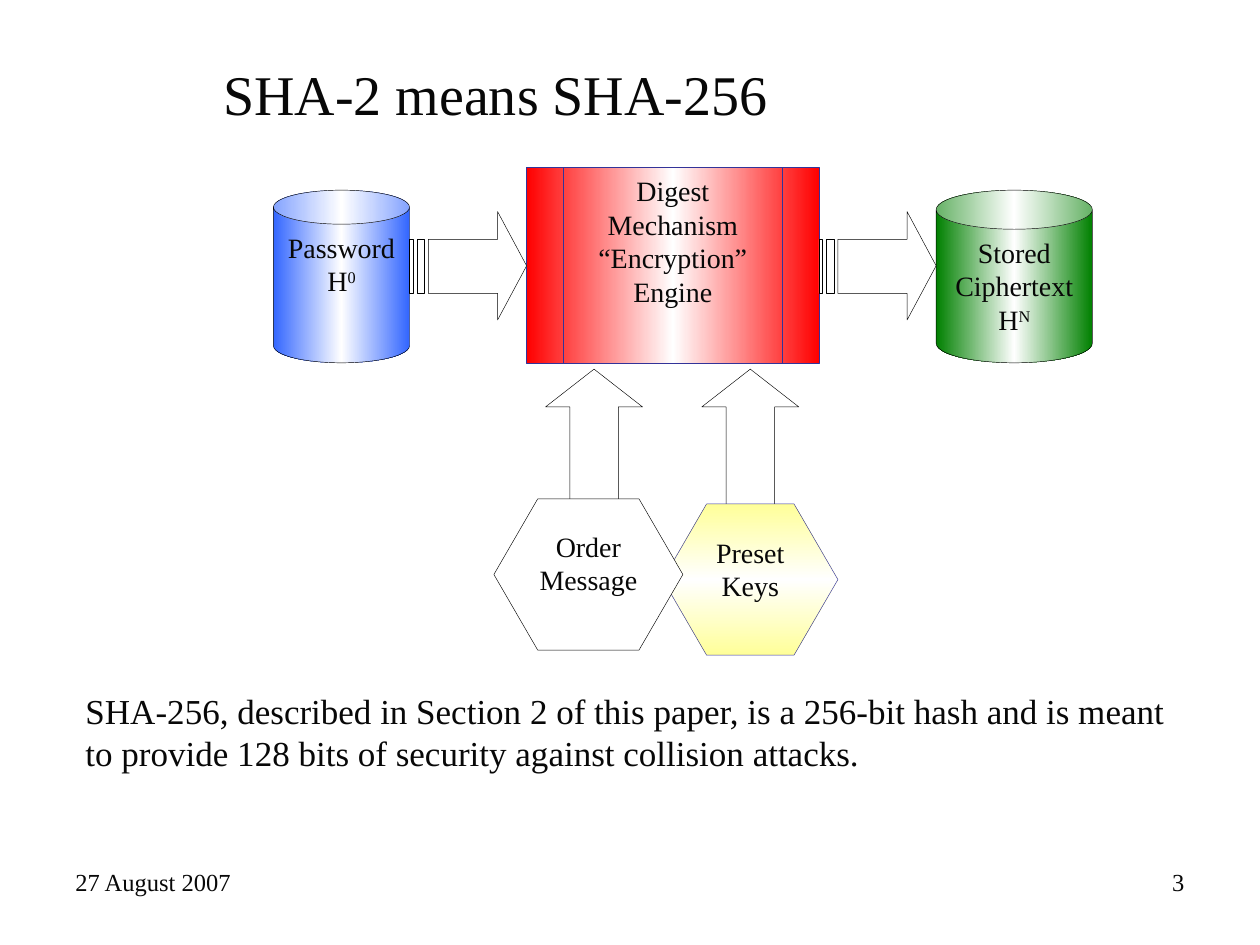
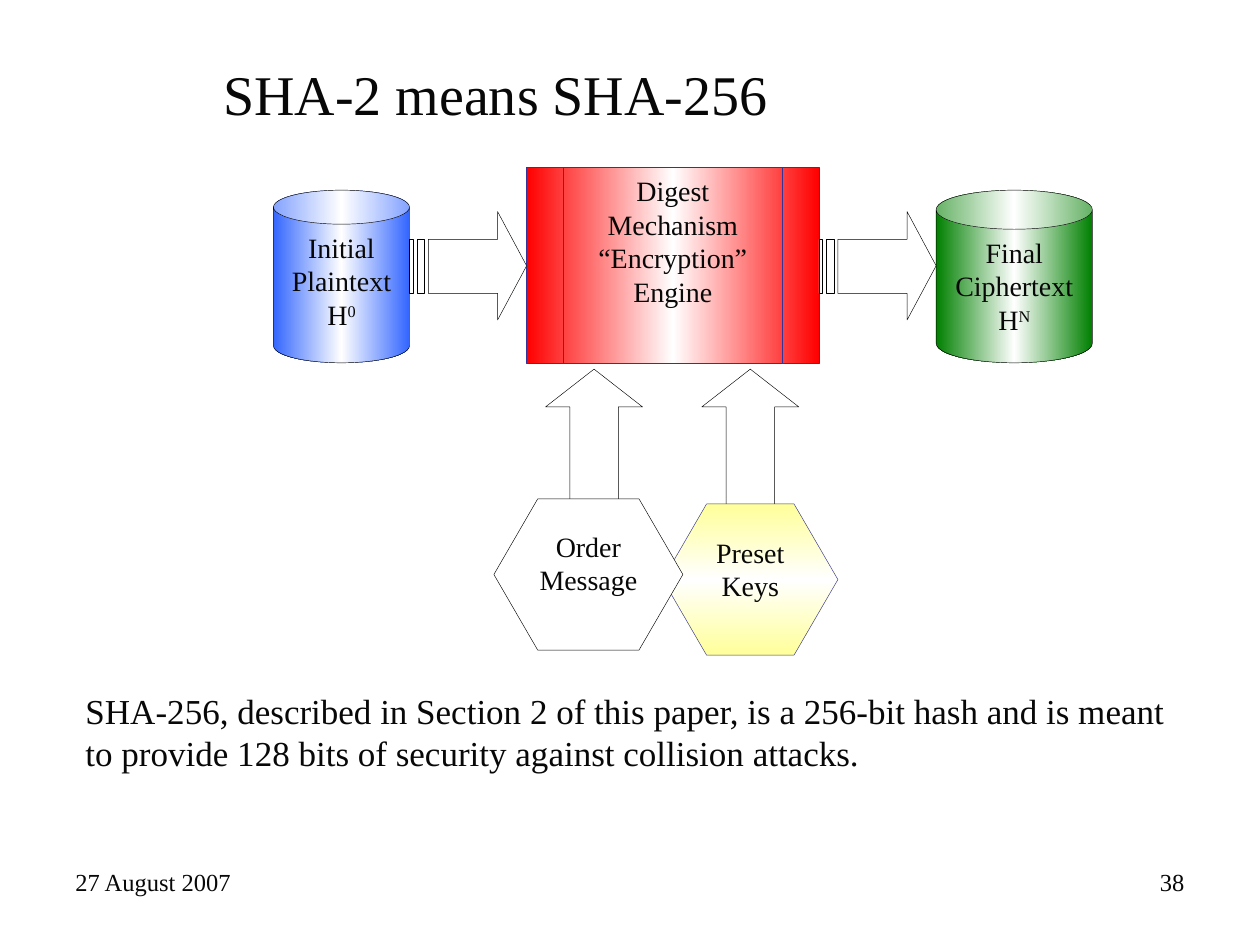
import copy
from dataclasses import dataclass

import pptx
import pptx.dml.color
import pptx.enum.shapes
import pptx.enum.text
import pptx.oxml.ns
import pptx.util

Inches = pptx.util.Inches
Kind = pptx.enum.shapes.MSO_SHAPE
Align = pptx.enum.text.PP_ALIGN
Anchor = pptx.enum.text.MSO_ANCHOR

COLORS = {
    "ink": "080808", "white": "FFFFFF", "black": "000000", "navy": "333399",
    "blue": "3366FF", "red": "FF0000", "green": "008000", "cream": "FFFF99",
}
FONT = "Times New Roman"
TITLE = "SHA-2 means SHA-256"
NOTE = ("SHA-256, described in Section 2 of this paper, is a 256-bit hash and is "
        "meant to provide 128 bits of security against collision attacks.")
DATE = "27 August 2007"
FRAME = {
    "word_wrap": True, "vertical_anchor": Anchor.TOP,
    "auto_size": pptx.enum.text.MSO_AUTO_SIZE.NONE,
    "margin_left": Inches(0.1), "margin_right": Inches(0.1),
    "margin_top": Inches(0.05), "margin_bottom": Inches(0.05),
}


@dataclass
class Box:
    left: float
    top: float
    width: float
    height: float

    def place(self) -> list:
        return [Inches(v) for v in (self.left, self.top, self.width, self.height)]


@dataclass
class Node:
    kind: int
    box: Box
    lines: tuple = ()
    fill: str = "white"
    edge: str = "black"
    tune: tuple = ()
    angle: int = 0


@dataclass
class Page:
    number: str
    source: str
    result: str


PAGES = [Page("3", "Password", "Stored Ciphertext"),
         Page("38", "Initial Plaintext", "Final Ciphertext")]


def shade(name: str) -> pptx.dml.color.RGBColor:
    return pptx.dml.color.RGBColor.from_string(COLORS[name])


def write(frame, lines: tuple, size: int, align=Align.LEFT, **extra) -> None:
    """Fill a text frame; a caret in a line starts its superscript."""
    for name, value in {**FRAME, **extra}.items():
        setattr(frame, name, value)
    for i, line in enumerate(lines):
        para = frame.paragraphs[0] if i == 0 else frame.add_paragraph()
        para.alignment = align
        base, _, power = line.partition("^")
        for text, raised in ((base, False), (power, True)):
            if not text:
                continue
            run = para.add_run()
            run.text = text
            look = {"name": FONT, "size": pptx.util.Pt(size)}
            for name, value in look.items():
                setattr(run.font, name, value)
            run.font.color.rgb = shade("ink")
            if raised:
                run._r.get_or_add_rPr().set("baseline", "30000")


def paint(shape, fill: str, edge: str, angle: int = 0) -> None:
    """Fill plain white, or blend from a colour to white and back."""
    shape.shadow.inherit = False
    shape.line.color.rgb = shade(edge)
    shape.line.width = pptx.util.Pt(0.25)
    if fill == "white":
        shape.fill.solid()
        shape.fill.fore_color.rgb = shade(fill)
        return
    shape.fill.gradient()
    shape.fill.gradient_angle = angle
    for stop in shape.fill.gradient_stops:
        stop.color.rgb = shade(fill)
    stops = next(shape._element.spPr.iter(pptx.oxml.ns.qn("a:gsLst")))
    stops.insert(1, copy.deepcopy(stops[0]))
    middle = shape.fill.gradient_stops[1]
    middle.position = 0.5
    middle.color.rgb = shade("white")


def add_node(slide, node: Node) -> None:
    shape = slide.shapes.add_shape(node.kind, *node.box.place())
    for i, value in enumerate(node.tune):
        shape.adjustments[i] = value
    paint(shape, node.fill, node.edge, node.angle)
    if node.lines:
        write(shape.text_frame, node.lines, 16, Align.CENTER)


def add_arrow(slide, left: float) -> None:
    """Draw a right arrow with two stripes at its tail."""
    top, upper, lower, end = 1.68, 1.9, 2.33, 2.54
    neck, tip = left + 0.7, left + 0.93
    head = [(neck, top), (neck, upper), (left + 0.15, upper), (left + 0.15, lower),
            (neck, lower), (neck, end), (tip, (top + end) / 2)]
    bars = [[(left + a, upper), (left + a, lower), (left + b, lower), (left + b, upper)]
            for a, b in ((0.06, 0.12), (0, 0.03))]
    first, *rest = [[(Inches(x), Inches(y)) for x, y in part] for part in (head, *bars)]
    pen = slide.shapes.build_freeform(*first[0])
    pen.add_line_segments(first[1:], close=True)
    for bar in rest:
        pen.move_to(*bar[0])
        pen.add_line_segments(bar[1:], close=True)
    paint(pen.convert_to_shape(), "white", "black")


def add_text(slide, box: Box, text: str, size: int, **extra) -> None:
    frame = slide.shapes.add_textbox(*box.place()).text_frame
    write(frame, (text,), size, **extra)


def add_page(deck, page: Page) -> None:
    slide = deck.slides.add_slide(deck.slide_layouts[5])

    # Title
    title = slide.shapes.title
    spots = Box(1.67, 0.42, 4.7, 0.64).place()
    for name, value in zip(("left", "top", "width", "height"), spots):
        setattr(title, name, value)
    write(title.text_frame, (TITLE,), 32)

    # Row from source through engine to result
    add_node(slide, Node(Kind.CAN, Box(2.17, 1.51, 1.08, 1.37),
                         (page.source, "H^0"), "blue", tune=(0.25,)))
    add_node(slide, Node(Kind.FLOWCHART_PREDEFINED_PROCESS, Box(4.18, 1.33, 2.32, 1.55),
                         ("Digest Mechanism", "“Encryption” Engine"), "red", "navy"))
    add_node(slide, Node(Kind.CAN, Box(7.43, 1.51, 1.24, 1.37),
                         (page.result, "H^N"), "green", tune=(0.25,)))
    for left in (3.25, 6.5):
        add_arrow(slide, left)

    # Inputs from below
    for left in (4.33, 5.57):
        add_node(slide, Node(Kind.UP_ARROW, Box(left, 2.93, 0.77, 1.2), tune=(0.5, 0.39)))
    add_node(slide, Node(Kind.HEXAGON, Box(5.26, 4, 1.39, 1.2), ("Preset", "Keys"),
                         "cream", "navy", (0.29,), 90))
    add_node(slide, Node(Kind.HEXAGON, Box(3.92, 3.96, 1.5, 1.2), ("Order", "Message"),
                         tune=(0.29,)))

    # Note and footer
    add_text(slide, Box(0.58, 5.42, 8.92, 0.77), NOTE, 20, vertical_anchor=Anchor.MIDDLE)
    add_text(slide, Box(0.5, 6.83, 2.33, 0.52), DATE, 14)
    add_text(slide, Box(7.17, 6.83, 2.33, 0.52), page.number, 14, align=Align.RIGHT)


def main() -> None:
    deck = pptx.Presentation()
    deck.slide_width, deck.slide_height = Inches(10), Inches(7.5)
    for page in PAGES:
        add_page(deck, page)
    deck.save("out.pptx")


if __name__ == "__main__":
    main()
